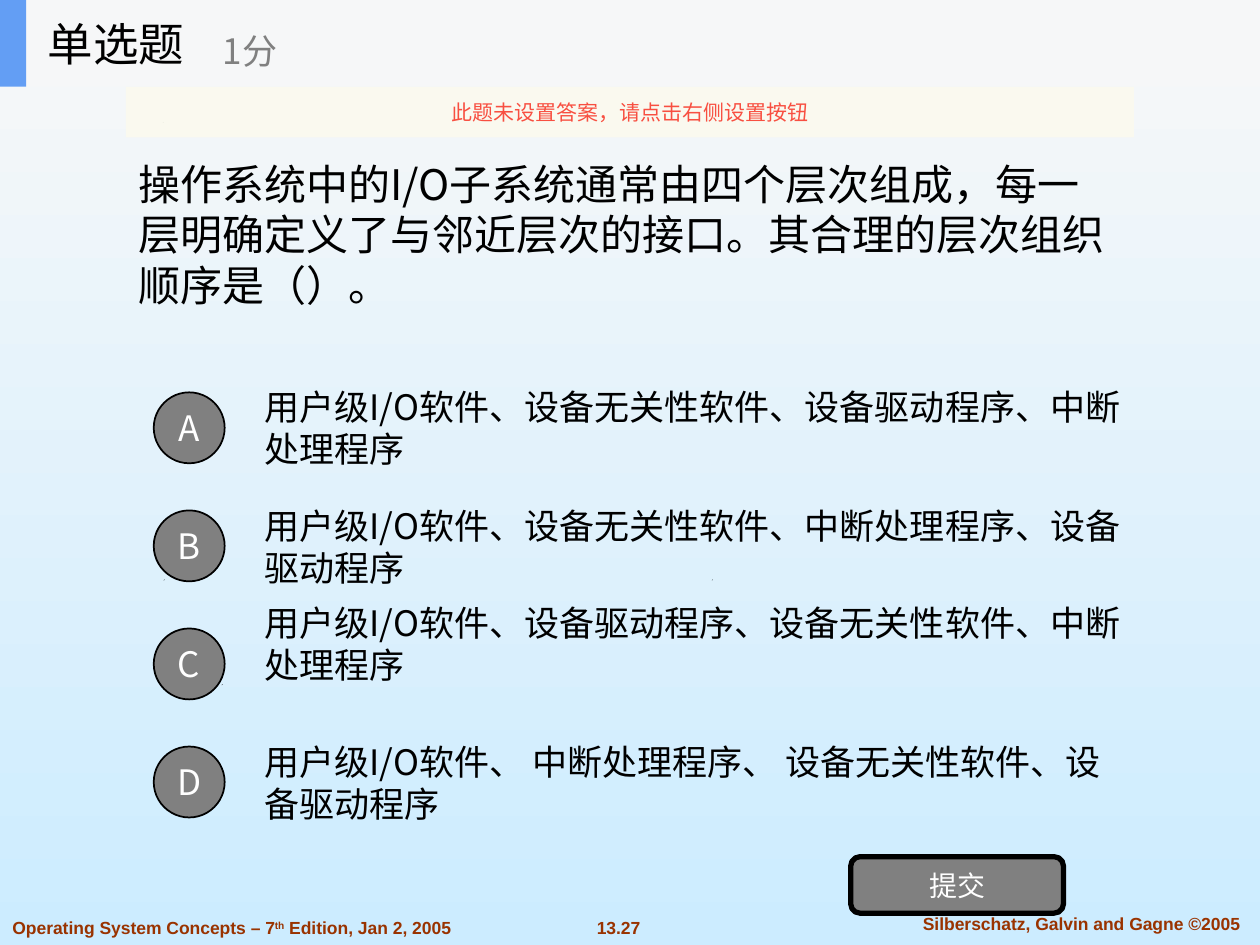
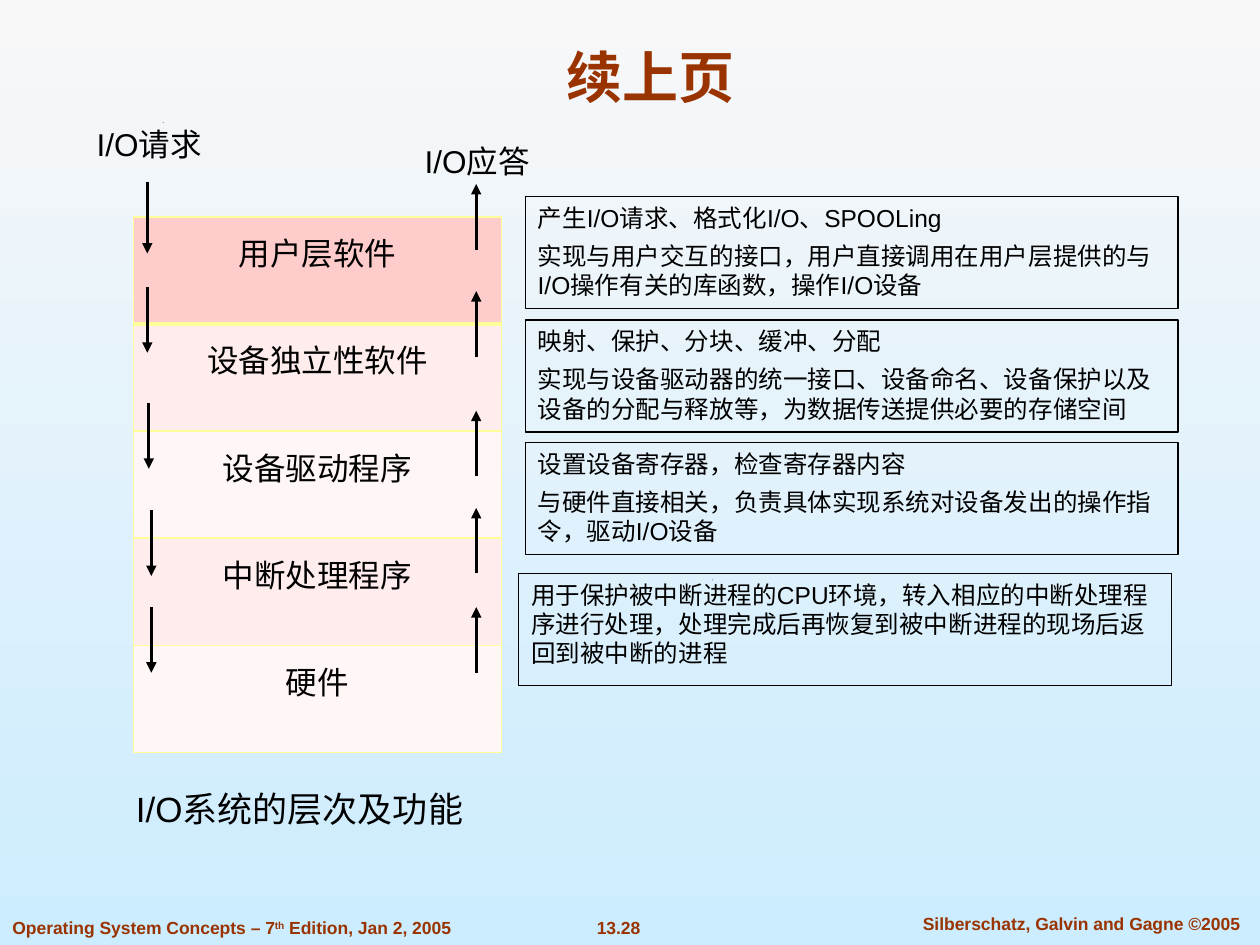
from lxml.etree import SubElement
from pptx import Presentation
from pptx.dml.color import RGBColor
from pptx.enum.shapes import MSO_CONNECTOR, MSO_SHAPE
from pptx.enum.text import MSO_ANCHOR, PP_ALIGN
from pptx.oxml.ns import qn
from pptx.util import Cm, Pt

# Shared look
LATIN, CHINESE = "Arial", "Noto Sans CJK SC"
BLACK, WHITE, GREY, BRAND = "000000", "FFFFFF", "808080", "993300"
SKY = ("F8F8F8", "CCECFF")
CHAPTER, FIRST_PAGE = 13, 27
EDITION = (("Operating System Concepts – 7", False), ("th", True),
           (" Edition, Jan 2, 2005", False))
AUTHORS = "Silberschatz, Galvin and Gagne ©2005"
SPECKS = ((4.47, 13.79), (3.3, 11.68), (14.35, 11.68), (3.28, 2.46))

# Quiz slide
QUIZ_TITLE, QUIZ_POINTS, SUBMIT = "单选题", "1分", "提交"
NOTICE = "此题未设置答案，请点击右侧设置按钮"
QUESTION = ("操作系统中的I/O子系统通常由四个层次组成，每一层明确定义了与邻近层次的接口。"
            "其合理的层次组织顺序是（）。")
# letter, answer, bottom inset that lifts the text
OPTIONS = (
    ("A", "用户级I/O软件、设备无关性软件、设备驱动程序、中断处理程序", 0.13),
    ("B", "用户级I/O软件、设备无关性软件、中断处理程序、设备驱动程序", 0.13),
    ("C", "用户级I/O软件、设备驱动程序、设备无关性软件、中断处理程序", 0.97),
    ("D", "用户级I/O软件、 中断处理程序、 设备无关性软件、设备驱动程序", 0.13),
)
OPTION_TOP, OPTION_PITCH = 7.74, 2.38

# Layers slide
LAYERS_TITLE, CAPTION = "续上页", "I/O系统的层次及功能"
LAYERS = (("用户层软件", "FFCCCC"), ("设备独立性软件", "FFECEC"),
          ("设备驱动程序", "FFF6F6"), ("中断处理程序", "FFECEC"),
          ("硬件", "FFF6F6"))
LAYER_HEIGHT, LAYER_BORDER = 2.16, "FFFF99"
# left, top, paragraphs
NOTES = (
    (10.59, 3.96, ("产生I/O请求、格式化I/O、SPOOLing",
                   "实现与用户交互的接口，用户直接调用在用户层提供的与I/O操作有关的库函数，"
                   "操作I/O设备")),
    (10.59, 6.45, ("映射、保护、分块、缓冲、分配",
                   "实现与设备驱动器的统一接口、设备命名、设备保护以及设备的分配与释放等，"
                   "为数据传送提供必要的存储空间")),
    (10.59, 8.92, ("设置设备寄存器，检查寄存器内容",
                   "与硬件直接相关，负责具体实现系统对设备发出的操作指令，驱动I/O设备")),
    (10.46, 11.56, ("用于保护被中断进程的CPU环境，转入相应的中断处理程序进行处理，"
                    "处理完成后再恢复到被中断进程的现场后返回到被中断的进程",)),
)
FLOW_LABELS = (("I/O应答", 8.31, 2.74), ("I/O请求", 1.7, 2.39))
ARROW_LENGTH = 1.32
REQUESTS = ((2.97, 3.66, 1.45), (2.97, 5.79, ARROW_LENGTH),
            (3, 8.13, ARROW_LENGTH), (3.05, 10.29, ARROW_LENGTH),
            (3.05, 12.24, ARROW_LENGTH))  # left, top, length
REPLY_LEFT, REPLY_TOPS = 9.6, (3.71, 5.87, 8.28, 10.24, 12.24)


def color(value):
    """Turn a hex string into a colour."""
    return RGBColor.from_string(value)


def lengths(*values):
    """Turn centimetres into lengths."""
    return [Cm(value) for value in values]


def format_span(span, size, tint, latin=LATIN, bold=False):
    """Set the font of one run, Chinese glyphs included."""
    span.font.size, span.font.bold, span.font.name = Pt(size), bold, latin
    span.font.color.rgb = color(tint)
    SubElement(span._r.get_or_add_rPr(), qn("a:ea")).set("typeface", CHINESE)


def write(shape, paragraphs, size, tint=BLACK, latin=LATIN, bold=False,
          align=PP_ALIGN.LEFT, anchor=MSO_ANCHOR.TOP):
    """Fill a shape with paragraphs of one style."""
    frame = shape.text_frame
    frame.text = "\n".join(paragraphs)
    frame.word_wrap, frame.vertical_anchor = True, anchor
    for index, para in enumerate(frame.paragraphs):
        para.alignment = align
        if index:
            para.space_before = Pt(size * 0.35)
        for span in para.runs:
            format_span(span, size, tint, latin, bold)


def add_text(slide, place, text, size, **style):
    """Add a text box with one paragraph."""
    box = slide.shapes.add_textbox(*lengths(*place))
    write(box, [text], size, **style)
    return box


def add_panel(slide, kind, place, fill=None, line=None, width=1):
    """Add a flat preset shape."""
    panel = slide.shapes.add_shape(kind, *lengths(*place))
    panel.shadow.inherit = False
    if fill:
        panel.fill.solid()
        panel.fill.fore_color.rgb = color(fill)
    else:
        panel.fill.background()
    if line:
        panel.line.color.rgb, panel.line.width = color(line), Pt(width)
    else:
        panel.line.fill.background()
    return panel


def add_arrow(slide, left, start, end):
    """Add a vertical arrow pointing at its end."""
    arrow = slide.shapes.add_connector(
        MSO_CONNECTOR.STRAIGHT, *lengths(left, start, left, end))
    arrow.line.color.rgb, arrow.line.width = color(BLACK), Pt(1.75)
    SubElement(arrow.line._get_or_add_ln(), qn("a:tailEnd")).set("type", "triangle")
    SubElement(arrow._element.spPr, qn("a:effectLst"))


def add_border(cell, side, width):
    """Draw one border of a table cell."""
    edge = SubElement(cell._tc.get_or_add_tcPr(), qn(f"a:{side}"), w=str(Pt(width)))
    fill = SubElement(edge, qn("a:solidFill"))
    SubElement(fill, qn("a:srgbClr"), val=LAYER_BORDER)


def paint_background(master):
    """Give every slide the sky gradient."""
    fill = master.background.fill
    fill.gradient()
    fill.gradient_angle = 270
    for stop, tint, position in zip(fill.gradient_stops, SKY, (0, 1)):
        stop.color.rgb, stop.position = color(tint), position


def add_page(deck):
    """Add a slide with the footers and specks."""
    page = deck.slides.add_slide(deck.slide_layouts[6])
    number = FIRST_PAGE + len(deck.slides) - 1
    footer = dict(size=10, tint=BRAND, bold=True)
    box = add_text(page, (11.76, 18.36, 1.42, 0.69), f"{CHAPTER}.{number}",
                   align=PP_ALIGN.CENTER, **footer)
    box.text_frame.word_wrap = False
    add_text(page, (18.03, 18.29, 7.54, 0.69), AUTHORS,
             align=PP_ALIGN.CENTER, **footer)
    edition = page.shapes.add_textbox(*lengths(0, 18.36, 9.37, 0.69))
    para = edition.text_frame.paragraphs[0]
    for text, raised in EDITION:
        span = para.add_run()
        span.text = text
        format_span(span, **footer)
        if raised:
            span._r.get_or_add_rPr().set("baseline", "30000")
    for left, top in SPECKS:
        outline = page.shapes.build_freeform(*lengths(left, top + 0.02))
        outline.add_line_segments([lengths(left + 0.02, top),
                                   lengths(left + 0.01, top + 0.02)])
        speck = outline.convert_to_shape()
        speck.shadow.inherit = False
        speck.fill.solid()
        speck.fill.fore_color.rgb = color(BLACK)
        speck.line.fill.background()
    return page


def build_quiz(deck):
    """Build the single-choice question."""
    page = add_page(deck)
    plain = dict(latin=CHINESE, anchor=MSO_ANCHOR.MIDDLE)
    centred = dict(plain, align=PP_ALIGN.CENTER)
    add_text(page, (2.54, 1.75, 20.32, 5.94), QUESTION, 24, **plain)
    for index, (letter, answer, inset) in enumerate(OPTIONS):
        top = OPTION_TOP + index * OPTION_PITCH
        box = add_text(page, (5.08, top, 17.78, 1.78), answer, 20, **plain)
        box.text_frame.margin_bottom = Cm(inset)
        badge = add_panel(page, MSO_SHAPE.OVAL, (3.1, top + 0.17, 1.43, 1.43),
                          GREY, BLACK)
        write(badge, [letter], 20, WHITE, **centred)
    button = add_panel(page, MSO_SHAPE.ROUNDED_RECTANGLE,
                       (17.15, 17.27, 4.29, 1.14), GREY, BLACK, 3)
    write(button, [SUBMIT], 16, WHITE, **centred)

    add_panel(page, MSO_SHAPE.RECTANGLE, (0, 0, 25.4, 1.75), "F6F7F8")
    add_panel(page, MSO_SHAPE.RECTANGLE, (0, 0, 0.53, 1.75), "639EF4")
    add_text(page, (0.71, 0, 5.28, 1.75), QUIZ_TITLE, 26, **plain)
    add_text(page, (4.24, 0.3, 6.35, 1.42), QUIZ_POINTS, 20, tint=GREY, **plain)
    notice = add_panel(page, MSO_SHAPE.RECTANGLE, (2.54, 1.75, 20.32, 1.02), "FBFAEF")
    tint = notice._element.spPr.find(qn("a:solidFill"))[0]
    SubElement(tint, qn("a:alpha"), val="90000")
    write(notice, [NOTICE], 12, "F84F41", **centred)


def add_layers(page):
    """Add the one-column table of software layers."""
    frame = page.shapes.add_table(
        len(LAYERS), 1, *lengths(2.69, 4.37, 7.42, LAYER_HEIGHT * len(LAYERS)))
    table = frame.table
    table.first_row = table.horz_banding = False
    for index, (name, fill) in enumerate(LAYERS):
        cell = table.cell(index, 0)
        write(cell, [name], 18, align=PP_ALIGN.CENTER)
        cell.margin_top = Cm(0.25)
        top = 3 if index == 1 else 1
        bottom = 3 if index == 0 else 1
        for side, width in (("lnL", 1), ("lnR", 1), ("lnT", top), ("lnB", bottom)):
            add_border(cell, side, width)
        cell.fill.solid()
        cell.fill.fore_color.rgb = color(fill)


def build_layers(deck):
    """Build the diagram of the I/O layers."""
    page = add_page(deck)
    add_text(page, (1.91, 0.64, 22.43, 1.7), LAYERS_TITLE, 32, tint=BRAND,
             bold=True, align=PP_ALIGN.CENTER, anchor=MSO_ANCHOR.BOTTOM)
    add_layers(page)
    add_text(page, (2.49, 15.75, 7.19, 1.4), CAPTION, 20)
    for left, top, paragraphs in NOTES:
        note = add_panel(page, MSO_SHAPE.RECTANGLE, (left, top, 13.16, 2.26),
                         line=BLACK, width=0.75)
        write(note, paragraphs, 14)
    for left, top, length in REQUESTS:
        add_arrow(page, left, top, top + length)
    for top in REPLY_TOPS:
        add_arrow(page, REPLY_LEFT, top + ARROW_LENGTH, top)
    for label, left, top in FLOW_LABELS:
        add_text(page, (left, top, 2.72, 1.19), label, 18)


deck = Presentation()
deck.slide_width, deck.slide_height = lengths(25.4, 19.05)
paint_background(deck.slide_master)
build_quiz(deck)
build_layers(deck)
deck.save("out.pptx")
